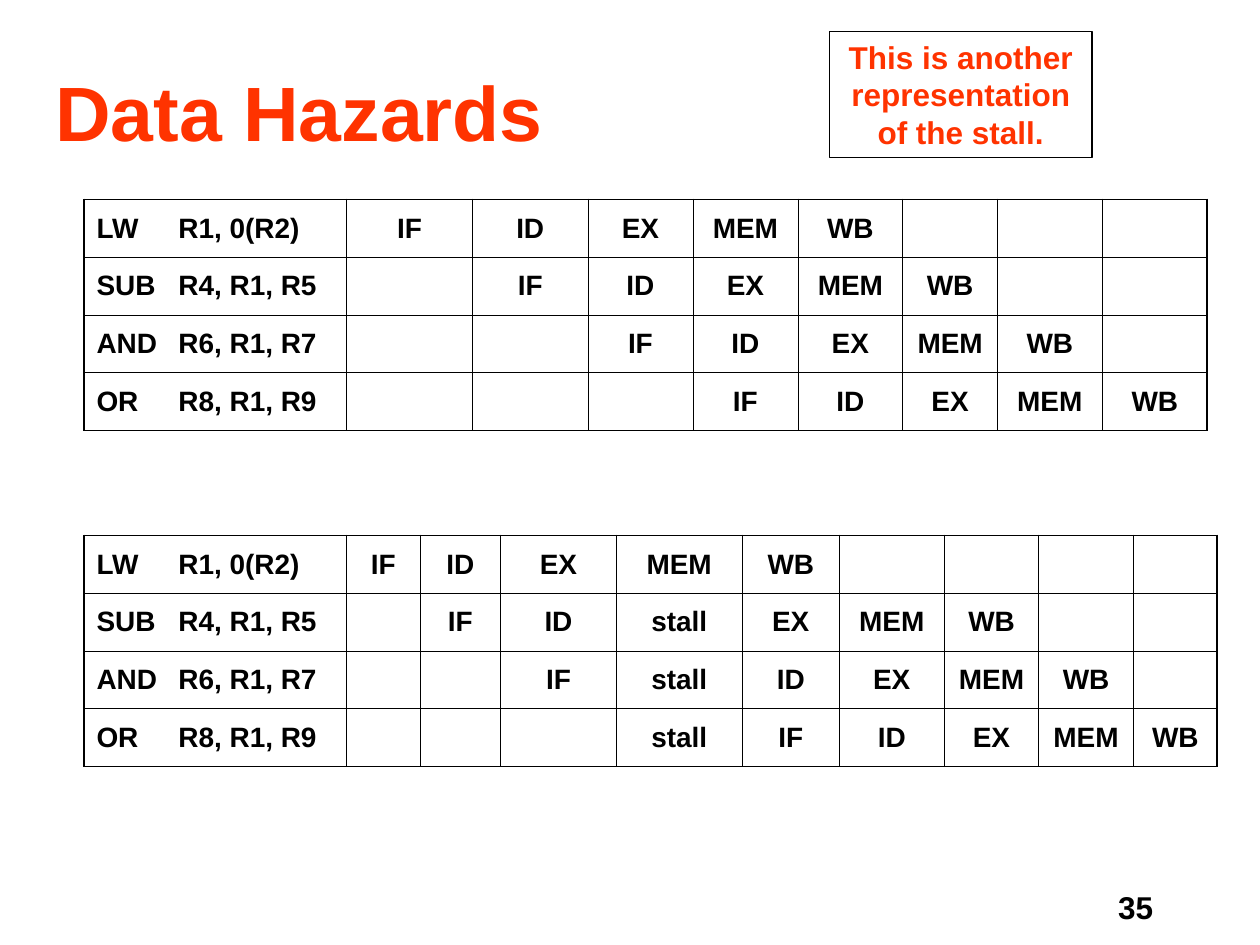
from dataclasses import dataclass

from lxml import etree
from pptx import Presentation, util as u
from pptx.dml.color import RGBColor
from pptx.enum import shapes, text
from pptx.oxml import ns


@dataclass(frozen=True)
class Theme:
    font: str = "Arial"
    accent: str = "FF3300"
    ink: str = "000000"
    title_size: int = 44
    body_size: int = 18
    cell_size: int = 16
    note_line: float = 0.75
    outer_line: float = 1.08
    inner_line: float = 0.45


THEME = Theme()
UNIT = u.Inches(1) / 12
ROW_UNITS = 5.5
OPERAND_TAB_UNITS = 7.8
STAGES = ["IF", "ID", "EX", "MEM", "WB"]
INSTRUCTIONS = ["LW\tR1, 0(R2)", "SUB\tR4, R1, R5", "AND\tR6, R1, R7", "OR\tR8, R1, R9"]
STALL_CYCLE = 3
IDEAL_COLUMNS = [25, 12, 11, 10, 10, 10, 9, 10, 10]
STALLED_COLUMNS = [25, 7, 7.7, 11, 12, 9.25, 10, 9, 9, 8]


def grid(units):
    return u.Emu(round(units * UNIT))


def write(frame, words, size, color, align):
    frame.text = words
    para = frame.paragraphs[0]
    para.alignment = align
    for span in para.runs:
        span.font.name = THEME.font
        span.font.size = u.Pt(size)
        span.font.bold = True
        span.font.color.rgb = RGBColor.from_string(color)
    return para


def add_title(page, words):
    box = page.shapes.title
    box.left, box.top, box.width, box.height = map(grid, (2, 3, 53, 15))
    frame = box.text_frame
    frame.auto_size = text.MSO_AUTO_SIZE.NONE
    frame.vertical_anchor = text.MSO_ANCHOR.MIDDLE
    write(frame, words, THEME.title_size, THEME.accent, text.PP_ALIGN.CENTER)


def add_note(page, words):
    box = page.shapes.add_shape(shapes.MSO_SHAPE.RECTANGLE, *map(grid, (79, 3, 25, 12)))
    box.shadow.inherit = False
    box.fill.background()
    box.line.color.rgb = RGBColor.from_string(THEME.ink)
    box.line.width = u.Pt(THEME.note_line)
    frame = box.text_frame
    frame.word_wrap = True
    frame.vertical_anchor = text.MSO_ANCHOR.TOP
    write(frame, words, THEME.body_size, THEME.accent, text.PP_ALIGN.CENTER)


def add_page_number(page, number):
    box = page.shapes.add_textbox(*map(grid, (86, 84, 25, 6)))
    box.text_frame.word_wrap = True
    write(box.text_frame, number, THEME.body_size, THEME.ink, text.PP_ALIGN.RIGHT)


def add_borders(cell, outer_sides):
    properties = cell._tc.get_or_add_tcPr()
    for side in "LRTB":
        width = THEME.outer_line if side in outer_sides else THEME.inner_line
        line = etree.SubElement(properties, ns.qn(f"a:ln{side}"), w=str(u.Pt(width)))
        fill = etree.SubElement(line, ns.qn("a:solidFill"))
        etree.SubElement(fill, ns.qn("a:srgbClr"), val=THEME.ink)


def add_operand_tab(para):
    tabs = etree.SubElement(para._p.get_or_add_pPr(), ns.qn("a:tabLst"))
    etree.SubElement(tabs, ns.qn("a:tab"), pos=str(grid(OPERAND_TAB_UNITS)), algn="l")


def schedule(row, cycles, stalled):
    cells = [""] * row + STAGES
    if stalled and row > 0:
        cells.insert(STALL_CYCLE, "stall")
    return cells + [""] * (cycles - len(cells))


def add_pipeline(page, top, columns, stalled):
    rows, count = len(INSTRUCTIONS), len(columns)
    frame = page.shapes.add_table(
        rows, count, grid(8), grid(top), grid(sum(columns)), grid(rows * ROW_UNITS))
    table = frame.table
    table.first_row = table.horz_banding = False
    for column, width in zip(table.columns, columns):
        column.width = grid(width)
    for y, instruction in enumerate(INSTRUCTIONS):
        table.rows[y].height = grid(ROW_UNITS)
        for x, words in enumerate([instruction] + schedule(y, count - 1, stalled)):
            cell = table.cell(y, x)
            edges = {"L": x == 0, "R": x == count - 1, "T": y == 0, "B": y == rows - 1}
            add_borders(cell, [side for side, outer in edges.items() if outer])
            cell.fill.background()
            cell.vertical_anchor = text.MSO_ANCHOR.MIDDLE
            align = text.PP_ALIGN.CENTER if x else text.PP_ALIGN.LEFT
            para = write(cell.text_frame, words, THEME.cell_size, THEME.ink, align)
            if x == 0:
                add_operand_tab(para)


def main():
    deck = Presentation()
    deck.slide_width, deck.slide_height = grid(120), grid(90)
    page = deck.slides.add_slide(deck.slide_layouts.get_by_name("Title Only"))
    add_page_number(page, "35")
    add_title(page, "Data Hazards")
    add_note(page, "This is another representation of the stall.")
    add_pipeline(page, 19, IDEAL_COLUMNS, stalled=False)
    add_pipeline(page, 51, STALLED_COLUMNS, stalled=True)
    deck.save("out.pptx")


if __name__ == "__main__":
    main()
